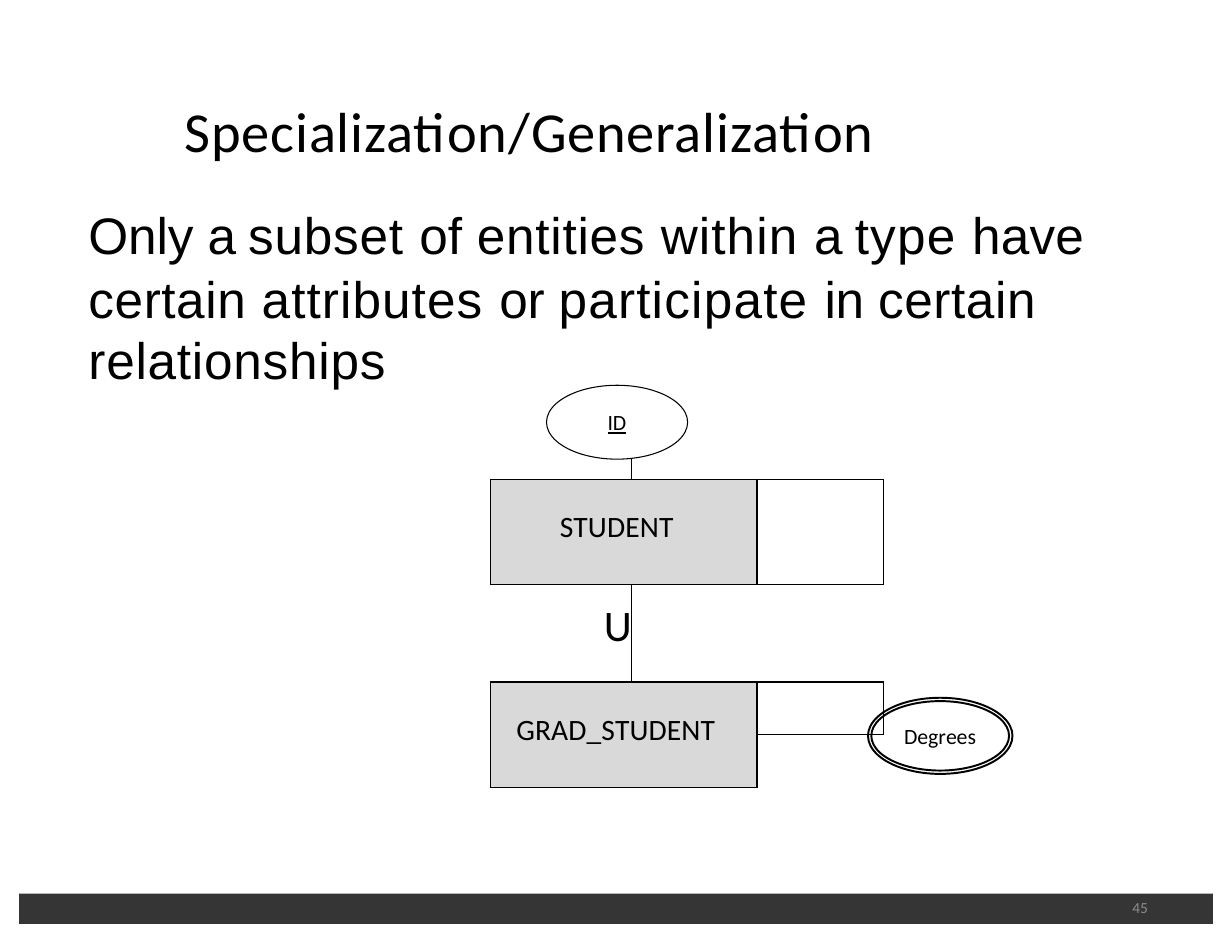
from collections import defaultdict
from itertools import product

from lxml.etree import SubElement
from pptx import Presentation
from pptx.dml.color import RGBColor
from pptx.enum.shapes import MSO_SHAPE as Shape
from pptx.enum.text import MSO_ANCHOR as Anchor, PP_ALIGN as Align
from pptx.oxml.ns import qn
from pptx.util import Inches, Pt

# Content: runs are (text, letter spacing in points)
TITLE = [("Specialization/Generalization", 0.5)]
PAGE = [("45", 0.1)]
BODY = [
    ([("Only ", -0.1), ("a ", -1.4), ("subset ", 0.5), ("of ", 0.1),
      ("entities ", 0.5), ("within ", 0.7), ("a ", -1.4), ("type ", 0.8),
      ("have ", 0.1), ("certain ", 0.4), ("attributes ", 0.7), ("or ", -0.2),
      ("participate ", 0.8), ("in ", -0.2), ("certain", 0.4)], 41.3),
    ([("relationships", 0.5)], 39),
]
KEY = [("ID", -0.1)]
MULTIVALUED = [("Deg", -0.1), ("r", -0.3), ("ee", -0.1), ("s", 0)]

# Diagram grid
GRID_LEFT, GRID_TOP = 4.38, 4.1
COLUMNS = [1.26, 1.12, 1.13]
ROWS = [0.18, 0.94, 0.87, 0.47, 0.47]
MERGES = [((0, 1), (0, 2)), ((1, 0), (1, 1)), ((2, 1), (2, 2)), ((3, 0), (4, 1))]
# (row, column): runs, size, left margin, top margin, alignment, fill
CELLS = {
    (1, 0): ([("STUDENT", 0.1)], 19, 0.62, 0.27, Align.LEFT, "D9D9D9"),
    (2, 0): ([("U", 0)], 28, 0, 0.14, Align.RIGHT, None),
    (3, 0): ([("GRAD_STUDENT", 0.1)], 19, 0.23, 0.27, Align.LEFT, "D9D9D9"),
}
# (boundary, columns or rows it runs along, width)
HORIZONTAL = [(1, (0, 1, 2), 1), (2, (0, 1), 1), (2, (2,), 0.75),
              (3, (0, 1, 2), 1), (4, (2,), 0.75), (5, (0, 1), 1)]
VERTICAL = [(0, (1, 3, 4), 1), (1, (0, 2), 0.75), (2, (1, 3, 4), 1)]
NO_GRID_STYLE = "{2D5ABB26-0587-4C30-8999-92F81FD0307C}"


def colour(value):
    return RGBColor.from_string(value)


def write(paragraph, runs, size, name="Calibri", ink="000000", align=Align.LEFT):
    for text, spacing in runs:
        run = paragraph.add_run()
        run.text = text
        run._r.get_or_add_rPr().set("spc", str(round(spacing * 100)))
    font = paragraph.font
    font.size, font.name = Pt(size), name
    font.color.rgb = colour(ink)
    paragraph.alignment = align


def prepare(frame, anchor=Anchor.MIDDLE):
    frame.margin_left = frame.margin_right = 0
    frame.margin_top = frame.margin_bottom = Inches(0.01)
    frame.vertical_anchor = anchor
    frame.word_wrap = True
    return frame


def add_text(slide, box, anchor=Anchor.MIDDLE):
    return prepare(slide.shapes.add_textbox(*map(Inches, box)).text_frame, anchor)


def add_shape(slide, kind, box, fill=None, line=None):
    shape = slide.shapes.add_shape(kind, *map(Inches, box))
    shape.shadow.inherit = False
    if fill:
        shape.fill.solid()
        shape.fill.fore_color.rgb = colour(fill)
    else:
        shape.fill.background()
    if line:
        shape.line.color.rgb = colour("000000")
        shape.line.width = Pt(line)
    else:
        shape.line.fill.background()
    return shape


def collect_borders():
    """Give every ruled edge to the cells on both of its sides."""
    owner = {}
    for (top, left), (bottom, right) in MERGES:
        for place in product(range(top, bottom + 1), range(left, right + 1)):
            owner[place] = (top, left)
    borders = defaultdict(dict)

    def mark(row, column, side, width):
        if 0 <= row < len(ROWS) and 0 <= column < len(COLUMNS):
            for place in ((row, column), owner.get((row, column), (row, column))):
                borders[place][side] = width

    for boundary, columns, width in HORIZONTAL:
        for column in columns:
            mark(boundary - 1, column, "lnB", width)
            mark(boundary, column, "lnT", width)
    for boundary, rows, width in VERTICAL:
        for row in rows:
            mark(row, boundary - 1, "lnR", width)
            mark(row, boundary, "lnL", width)
    return borders


def add_diagram_table(slide):
    box = (GRID_LEFT, GRID_TOP, sum(COLUMNS), sum(ROWS))
    table = slide.shapes.add_table(len(ROWS), len(COLUMNS), *map(Inches, box)).table
    table.first_row = table.horz_banding = False
    table._tbl.tblPr.find(qn("a:tableStyleId")).text = NO_GRID_STYLE
    for column, width in zip(table.columns, COLUMNS):
        column.width = Inches(width)
    for row, height in zip(table.rows, ROWS):
        row.height = Inches(height)
    for first, last in MERGES:
        table.cell(*first).merge(table.cell(*last))

    borders = collect_borders()
    for place in product(range(len(ROWS)), range(len(COLUMNS))):
        cell = table.cell(*place)
        runs, size, left, top, align, fill = CELLS.get(
            place, ([], 8, 0, 0, Align.LEFT, None))
        cell.margin_left, cell.margin_top = Inches(left), Inches(top)
        cell.margin_right = cell.margin_bottom = 0
        write(cell.text_frame.paragraphs[0], runs, size, align=align)
        properties = cell._tc.get_or_add_tcPr()
        for side in ("lnL", "lnR", "lnT", "lnB"):
            if side in borders[place]:
                line = SubElement(properties, qn(f"a:{side}"),
                                  w=str(Pt(borders[place][side])))
                solid = SubElement(line, qn("a:solidFill"))
                SubElement(solid, qn("a:srgbClr"), val="000000")
        if fill:
            cell.fill.solid()
            cell.fill.fore_color.rgb = colour(fill)
        else:
            cell.fill.background()


def main():
    presentation = Presentation()
    presentation.slide_width, presentation.slide_height = Inches(11), Inches(8.5)
    slide = presentation.slides.add_slide(presentation.slide_layouts[6])

    # Footer bar, title and page number
    add_shape(slide, Shape.RECTANGLE, (0.17, 7.98, 10.66, 0.27), fill="353535")
    title = add_text(slide, (1.65, 0.8, 7.67, 0.72))
    write(title.paragraphs[0], TITLE, 36.3)
    page = add_text(slide, (7.77, 7.88, 2.48, 0.45))
    write(page.paragraphs[0], PAGE, 9.9, ink="8C8C8C", align=Align.RIGHT)

    # Statement
    body = add_text(slide, (0.79, 1.78, 9.07, 1.7), Anchor.TOP)
    for index, (runs, spacing) in enumerate(BODY):
        paragraph = body.add_paragraph() if index else body.paragraphs[0]
        write(paragraph, runs, 33, "Arial")
        paragraph.line_spacing = Pt(spacing)

    # Key attribute
    key = add_shape(slide, Shape.OVAL, (4.88, 3.44, 1.26, 0.66), line=0.67)
    paragraph = prepare(key.text_frame).paragraphs[0]
    write(paragraph, KEY, 14, align=Align.CENTER)
    paragraph.font.underline = True

    # Multivalued attribute: double oval
    for inset in (0.01, 0.04):
        box = (7.74 + inset, 6.22 + inset, 1.31 - 2 * inset, 0.7 - 2 * inset)
        oval = add_shape(slide, Shape.OVAL, box, line=1.25)
    write(prepare(oval.text_frame).paragraphs[0], MULTIVALUED, 14, align=Align.CENTER)

    # Entities and the lines between them
    add_diagram_table(slide)
    presentation.save("out.pptx")


if __name__ == "__main__":
    main()
